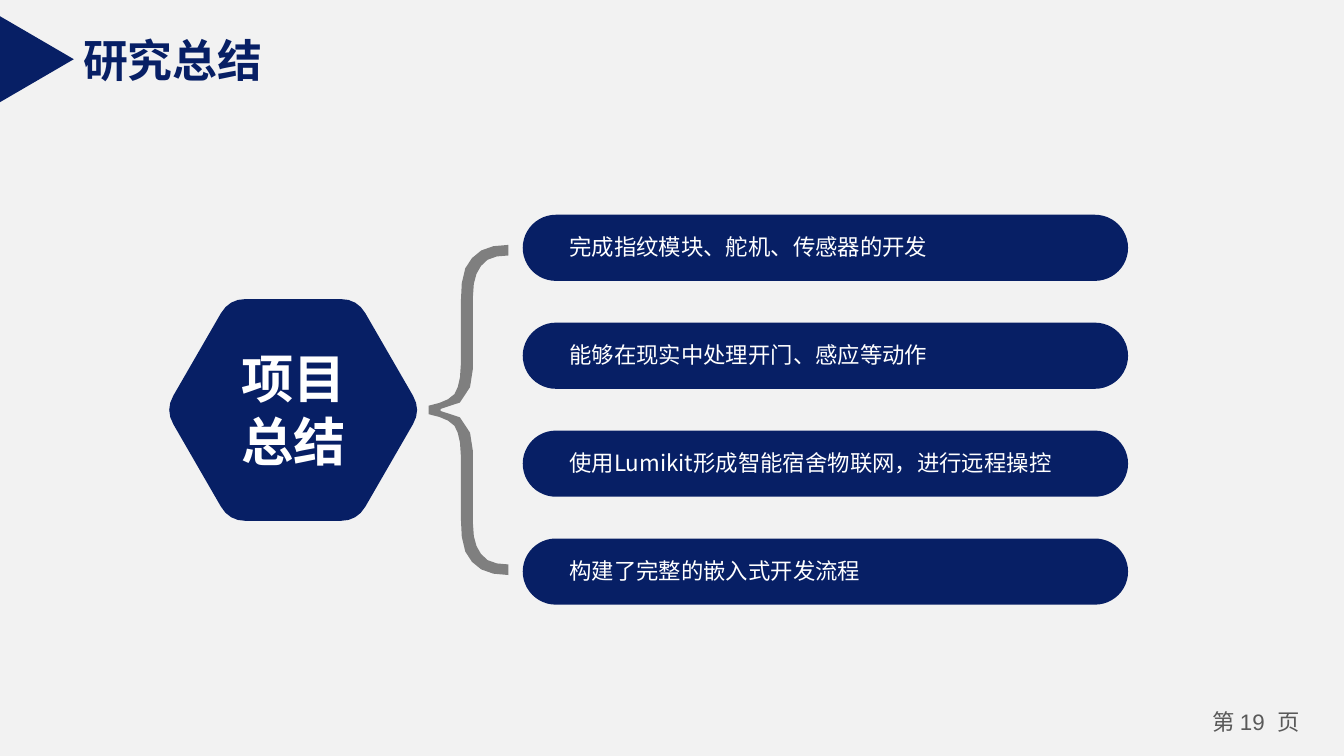
import math

from lxml import etree
from pptx import Presentation
from pptx import util as u
from pptx.dml.color import RGBColor
from pptx.enum import shapes, text
from pptx.oxml.ns import qn

NAVY = RGBColor(0x07, 0x1F, 0x65)
GREY = RGBColor(0x7F, 0x7F, 0x7F)
DARK_GREY = RGBColor(0x59, 0x59, 0x59)
WHITE = RGBColor(0xFF, 0xFF, 0xFF)
BACKGROUND = RGBColor(0xF2, 0xF2, 0xF2)
CJK = "Noto Sans CJK SC"
LATIN = "Arial"

CENTRE_Y = 7.75
FINDINGS = [
    "完成指纹模块、舵机、传感器的开发",
    "能够在现实中处理开门、感应等动作",
    "使用Lumikit形成智能宿舍物联网，进行远程操控",
    "构建了完整的嵌入式开发流程",
]
# Upper half of the brace: x, and height above its middle line.
BRACE_INLET = [(8.1, 0.08), (8.33, 0.13), (8.48, 0.18), (8.59, 0.3),
               (8.66, 0.41), (8.71, 0.58), (8.71, 0.86)]
BRACE_OUTER = [(8.71, 2.03), (8.71, 2.44), (8.76, 2.72), (8.92, 2.87),
               (9.07, 3.05), (9.3, 3.12), (9.61, 3.12)]
BRACE_INNER = [(9.61, 2.92), (9.37, 2.92), (9.19, 2.87), (9.09, 2.72),
               (8.99, 2.59), (8.94, 2.41), (8.94, 2.16)]
BRACE_OUTLET = [(8.94, 0.79), (8.94, 0.43), (8.79, 0.02), (8.33, 0.02)]


def bezier(controls, steps):
    """Return points along one Bezier curve of any degree."""
    degree = len(controls) - 1
    points = []
    for step in range(steps + 1):
        t = step / steps
        weights = [math.comb(degree, i) * t**i * (1 - t)**(degree - i)
                   for i in range(degree + 1)]
        points.append(tuple(sum(w * c[axis] for w, c in zip(weights, controls))
                            for axis in (0, 1)))
    return points


def cubic_chain(controls):
    points = [controls[0]]
    for i in range(0, len(controls) - 1, 3):
        points += bezier(controls[i:i + 4], steps=3)[1:]
    return points


def rounded_hexagon(centre_x, centre_y, radius, rounding):
    corners = [(centre_x + radius * math.cos(math.radians(60 * i)),
                centre_y + radius * math.sin(math.radians(60 * i)))
               for i in range(6)]
    share = rounding / radius

    def toward(start, end):
        return tuple(a + share * (b - a) for a, b in zip(start, end))

    return [point for i, corner in enumerate(corners)
            for point in bezier([toward(corner, corners[i - 1]), corner,
                                 toward(corner, corners[(i + 1) % 6])], steps=4)]


def brace_outline():
    upper = [point for chain in (BRACE_INLET, BRACE_OUTER, BRACE_INNER, BRACE_OUTLET)
             for point in cubic_chain(chain)]
    return ([(x, CENTRE_Y - y) for x, y in upper]
            + [(x, CENTRE_Y + y) for x, y in reversed(upper)])


def write(shape, runs, size=12, color=WHITE, bold=False, align=None,
          line_spacing=None, wrap=True, insets=(0, 0)):
    """Fill a shape with one paragraph made of (text, font) runs."""
    frame = shape.text_frame
    frame.word_wrap = wrap
    frame.auto_size = text.MSO_AUTO_SIZE.NONE
    frame.vertical_anchor = text.MSO_ANCHOR.TOP
    frame.margin_left = frame.margin_right = u.Cm(insets[0])
    frame.margin_top = frame.margin_bottom = u.Cm(insets[1])
    paragraph = frame.paragraphs[0]
    paragraph.alignment = align
    paragraph.line_spacing = line_spacing
    for content, font_name in runs:
        run = paragraph.add_run()
        run.text = content
        font = run.font
        font.name, font.size, font.bold = font_name, u.Pt(size), bold
        font.color.rgb = color
        east_asian = etree.SubElement(run._r.get_or_add_rPr(), qn("a:ea"))
        east_asian.set("typeface", CJK)


class SlideBuilder:
    def __init__(self, presentation):
        self.slide = presentation.slides.add_slide(presentation.slide_layouts[5])
        fill = self.slide.background.fill
        fill.solid()
        fill.fore_color.rgb = BACKGROUND

    def paint(self, shape, color):
        shape.shadow.inherit = False
        shape.fill.solid()
        shape.fill.fore_color.rgb = color
        shape.line.fill.background()
        return shape

    def preset(self, kind, box, color=NAVY):
        shape = self.slide.shapes.add_shape(kind, *map(u.Cm, box))
        return self.paint(shape, color)

    def outline(self, points, color):
        points = [(u.Cm(x), u.Cm(y)) for x, y in points]
        builder = self.slide.shapes.build_freeform(*points[0])
        builder.add_line_segments(points[1:], close=True)
        return self.paint(builder.convert_to_shape(), color)

    def label(self, box, runs, **style):
        write(self.slide.shapes.add_textbox(*map(u.Cm, box)), runs, **style)

    def title(self, box, runs, **style):
        title = self.slide.shapes.title
        title.left, title.top, title.width, title.height = map(u.Cm, box)
        write(title, runs, **style)


def main():
    presentation = Presentation()
    presentation.slide_width = u.Cm(25.4)
    presentation.slide_height = u.Cm(14.29)
    builder = SlideBuilder(presentation)
    align = text.PP_ALIGN

    builder.title((1.32, 0.48, 3.94, 1.27), [("研究总结", LATIN)], size=24, color=NAVY,
                  bold=True, align=align.LEFT, wrap=False, insets=(0.25, 0.13))
    marker = builder.preset(shapes.MSO_SHAPE.ISOSCELES_TRIANGLE, (-0.12, 0.42, 1.63, 1.4))
    marker.rotation = 90

    builder.outline(rounded_hexagon(5.54, CENTRE_Y, 2.42, 0.31), NAVY)
    builder.label((4.29, 6.55, 2.51, 2.39), [("项目总结", CJK)],
                  size=28, bold=True, align=align.CENTER)
    builder.outline(brace_outline(), GREY)

    for row, finding in enumerate(FINDINGS):
        top = 4.06 + 2.04 * row
        bar = builder.preset(shapes.MSO_SHAPE.ROUNDED_RECTANGLE, (9.88, top, 11.44, 1.25))
        bar.adjustments[0] = 0.5
        builder.label((10.76, top + 0.4, 9.6, 0.46), [(finding, CJK)],
                      align=align.JUSTIFY, line_spacing=u.Pt(13))

    builder.label((22.59, 13.29, 2.3, 0.76), [("第 ", CJK), ("19  ", LATIN), ("页", CJK)],
                  color=DARK_GREY, align=align.CENTER, insets=(0.18, 0.1))
    presentation.save("out.pptx")


if __name__ == "__main__":
    main()
